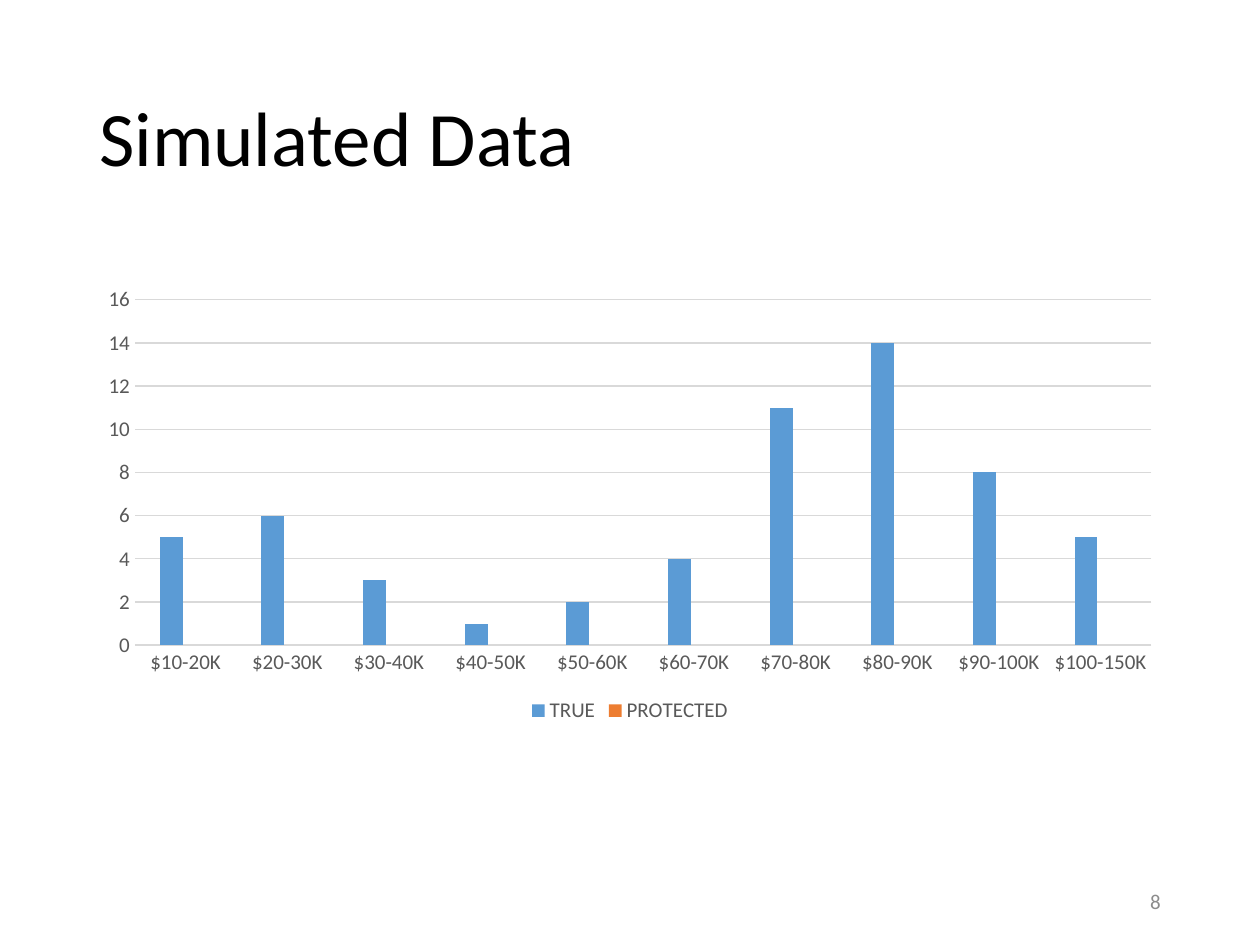
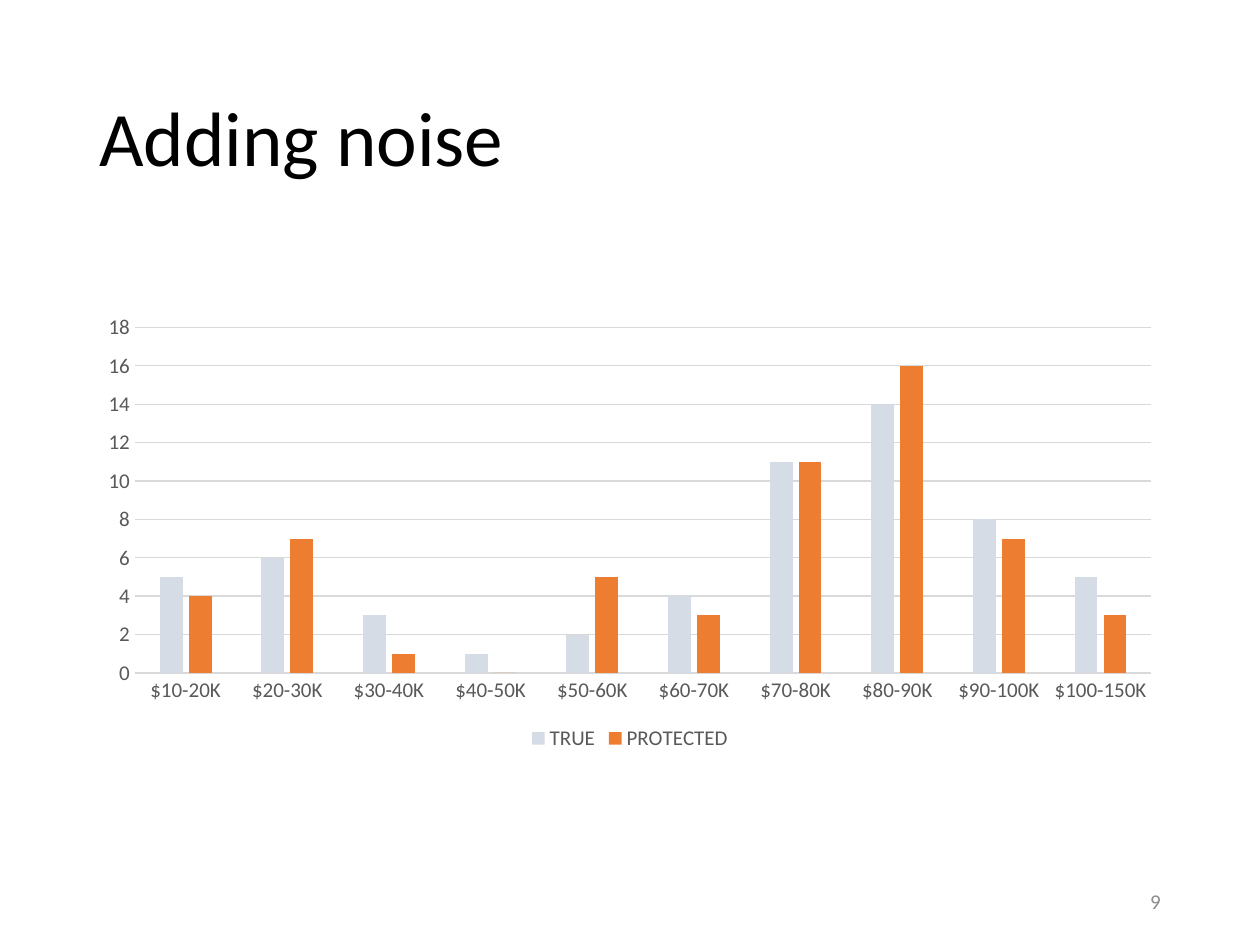
from pptx import Presentation
from pptx.chart.data import CategoryChartData
from pptx.dml.color import RGBColor
from pptx.enum.chart import XL_CHART_TYPE, XL_LEGEND_POSITION, XL_TICK_MARK
from pptx.enum.text import MSO_ANCHOR, PP_ALIGN
from pptx.util import Cm, Pt

BLACK = RGBColor(0x00, 0x00, 0x00)
TEXT_GRAY = RGBColor(0x59, 0x59, 0x59)
NUMBER_GRAY = RGBColor(0x8C, 0x8C, 0x8C)
LINE_GRAY = RGBColor(0xD9, 0xD9, 0xD9)
BLUE = RGBColor(0x5B, 0x9B, 0xD5)
PALE_BLUE = RGBColor(0xD6, 0xDC, 0xE5)
ORANGE = RGBColor(0xED, 0x7D, 0x31)

INCOMES = [f"${low}-{low + 10}K" for low in range(10, 100, 10)] + ["$100-150K"]
TRUE_COUNTS = [5, 6, 3, 1, 2, 4, 11, 14, 8, 5]
PROTECTED_COUNTS = [4, 7, 1, 0, 5, 3, 11, 16, 7, 3]
HIDDEN_COUNTS = [None] * len(INCOMES)


def set_all(obj, values):
    for name, value in values.items():
        setattr(obj, name, value)


class Deck:
    font = "Calibri"
    left, width = Cm(1.75), Cm(21.9)

    def __init__(self):
        self.prs = Presentation()
        set_all(self.prs, {"slide_width": Cm(25.4), "slide_height": Cm(19.05)})

    def add_slide(self, title, number):
        self.s = self.prs.slides.add_slide(self.prs.slide_layouts[6])
        self.add_text(title, (self.left, Cm(1.01), self.width, Cm(3.68)),
                      44, BLACK, {"line_spacing": 0.9})
        self.add_text(str(number), (Cm(17.94), Cm(17.66), Cm(5.71), Cm(1.01)),
                      12, NUMBER_GRAY, {"alignment": PP_ALIGN.RIGHT})

    def set_font(self, font, size, color):
        set_all(font, {"name": self.font, "size": Pt(size)})
        font.color.rgb = color

    def set_line(self, line):
        line.width = Pt(0.75)
        line.color.rgb = LINE_GRAY

    def add_text(self, text, box, size, color, paragraph):
        tf = self.s.shapes.add_textbox(*box).text_frame
        set_all(tf, {"word_wrap": True, "vertical_anchor": MSO_ANCHOR.MIDDLE})
        p = tf.paragraphs[0]
        set_all(p, paragraph)
        r = p.add_run()
        r.text = text
        self.set_font(r.font, size, color)

    def add_columns(self, top, maximum, series):
        data = CategoryChartData(number_format="General")
        data.categories = INCOMES
        for name, values, _ in series:
            data.add_series(name, values)
        chart = self.s.shapes.add_chart(
            XL_CHART_TYPE.COLUMN_CLUSTERED, self.left, top,
            self.width, Cm(9.07), data).chart
        set_all(chart, {"has_title": False, "has_legend": True})
        self.set_font(chart.font, 10, BLACK)
        set_all(chart.legend, {"position": XL_LEGEND_POSITION.BOTTOM,
                               "include_in_layout": False})
        self.set_font(chart.legend.font, 12, TEXT_GRAY)

        for axis in (chart.category_axis, chart.value_axis):
            set_all(axis, {"major_tick_mark": XL_TICK_MARK.NONE,
                           "minor_tick_mark": XL_TICK_MARK.NONE})
            self.set_font(axis.tick_labels.font, 12, TEXT_GRAY)
        self.set_line(chart.category_axis.format.line)
        set_all(chart.value_axis, {"minimum_scale": 0, "maximum_scale": maximum,
                                   "major_unit": 2, "has_major_gridlines": True})
        chart.value_axis.format.line.fill.background()
        self.set_line(chart.value_axis.major_gridlines.format.line)

        plot = chart.plots[0]
        set_all(plot, {"gap_width": 219, "overlap": -27,
                       "vary_by_categories": False})
        for column, (_, _, color) in zip(plot.series, series):
            column.invert_if_negative = False
            column.format.fill.solid()
            column.format.fill.fore_color.rgb = color


def main():
    deck = Deck()
    deck.add_slide("Simulated Data", 8)
    deck.add_columns(Cm(5.61), 16, [("TRUE", TRUE_COUNTS, BLUE),
                                    ("PROTECTED", HIDDEN_COUNTS, ORANGE)])
    deck.add_slide("Adding noise", 9)
    deck.add_columns(Cm(6.17), 18, [("TRUE", TRUE_COUNTS, PALE_BLUE),
                                    ("PROTECTED", PROTECTED_COUNTS, ORANGE)])
    deck.prs.save("out.pptx")


if __name__ == "__main__":
    main()
